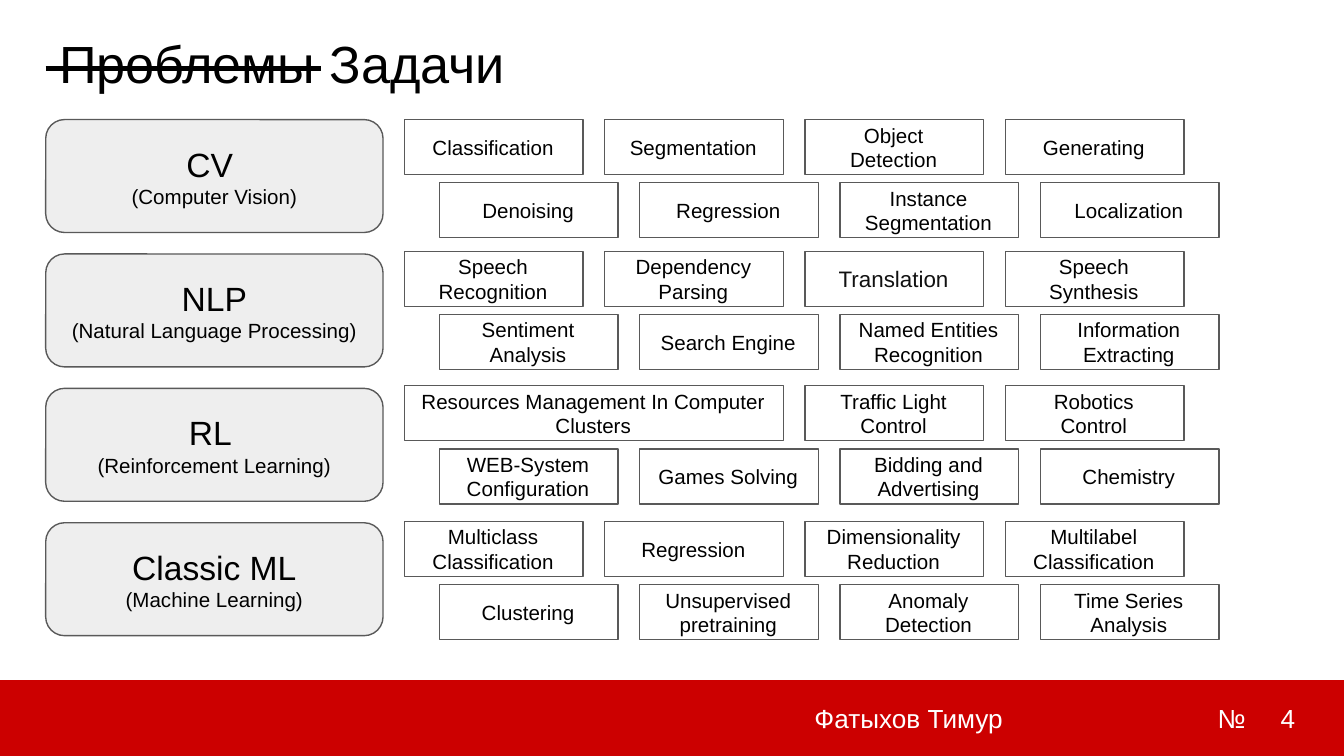
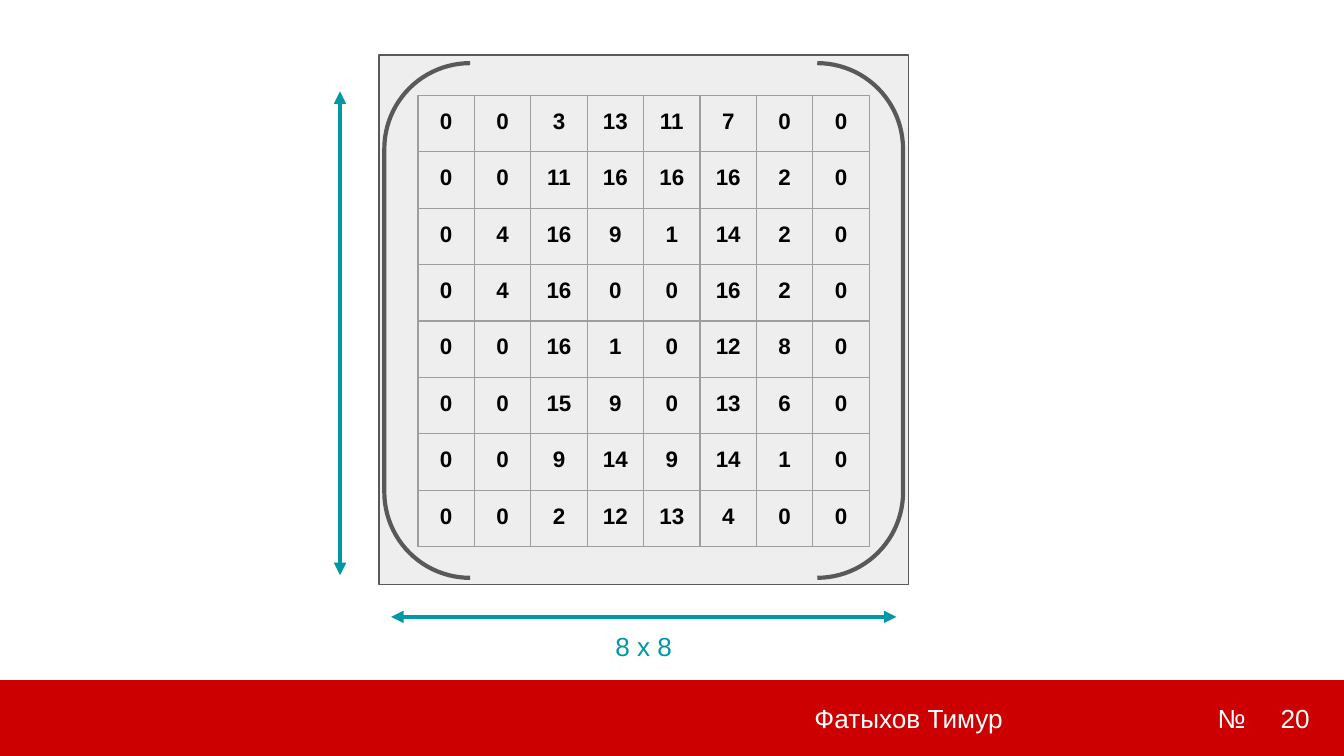
from lxml.etree import SubElement
from pptx import Presentation
from pptx.dml.color import RGBColor
from pptx.enum.shapes import MSO_CONNECTOR, MSO_SHAPE
from pptx.enum.text import MSO_ANCHOR, PP_ALIGN
from pptx.oxml.ns import qn
from pptx.util import Inches, Pt

SLIDE_WIDTH = 10
SLIDE_HEIGHT = SLIDE_WIDTH * 9 / 16
FONT = "Arial"
BLACK, WHITE, RED = "000000", "FFFFFF", "CC0000"
PANEL, OUTLINE, GRID, TEAL = "EEEEEE", "595959", "9E9E9E", "0097A7"
TITLE_ONLY, BLANK = 5, 6

# Field, its full name, top of its tasks, two rows of tasks
FIELDS = [
    ("CV ", "(Computer Vision)", 0.89,
     ["Classification", "Segmentation", "Object Detection", "Generating"],
     ["Denoising", "Regression", "Instance Segmentation", "Localization"]),
    ("NLP", "(Natural Language Processing)", 1.87,
     ["Speech Recognition", "Dependency Parsing", "Translation", "Speech Synthesis"],
     ["Sentiment Analysis", "Search Engine", "Named Entities Recognition",
      "Information Extracting"]),
    ("RL ", "(Reinforcement Learning)", 2.87,
     ["Resources Management In Computer Clusters", "Traffic Light Control",
      "Robotics Control"],
     ["WEB-System Configuration", "Games Solving", "Bidding and Advertising",
      "Chemistry"]),
    ("Classic ML", "(Machine Learning)", 3.88,
     ["Multiclass Classification", "Regression", "Dimensionality Reduction",
      "Multilabel Classification"],
     ["Clustering", "Unsupervised pretraining", "Anomaly Detection",
      "Time Series Analysis"]),
]
WIDE_TASK = "Resources Management In Computer Clusters"
LARGER_TASK = "Translation"

DIGIT_PIXELS = [
    [0, 0, 3, 13, 11, 7, 0, 0],
    [0, 0, 11, 16, 16, 16, 2, 0],
    [0, 4, 16, 9, 1, 14, 2, 0],
    [0, 4, 16, 0, 0, 16, 2, 0],
    [0, 0, 16, 1, 0, 12, 8, 0],
    [0, 0, 15, 9, 0, 13, 6, 0],
    [0, 0, 9, 14, 9, 14, 1, 0],
    [0, 0, 2, 12, 13, 4, 0, 0],
]


def rgb(value):
    return RGBColor.from_string(value)


def set_paragraph(paragraph, text, size, color=BLACK, align=PP_ALIGN.CENTER, bold=False):
    paragraph.text = text
    paragraph.alignment = align
    for run in paragraph.runs:
        run.font.name = FONT
        run.font.size = Pt(size)
        run.font.bold = bold
        run.font.color.rgb = rgb(color)


def set_tab_stops(paragraph, positions):
    tab_list = SubElement(paragraph._p.get_or_add_pPr(), qn("a:tabLst"))
    for position in positions:
        SubElement(tab_list, qn("a:tab"), pos=str(Inches(position)), algn="l")


def set_frame(text_frame, anchor=MSO_ANCHOR.MIDDLE, left=0.1, right=0.1):
    text_frame.word_wrap = True
    text_frame.vertical_anchor = anchor
    text_frame.margin_left = Inches(left)
    text_frame.margin_right = Inches(right)
    text_frame.margin_top = text_frame.margin_bottom = Inches(0.1)


def add_box(slide, kind, box, fill=None, line=OUTLINE, width=0.75):
    shape = slide.shapes.add_shape(kind, *map(Inches, box))
    shape.shadow.inherit = False
    if fill:
        shape.fill.solid()
        shape.fill.fore_color.rgb = rgb(fill)
    else:
        shape.fill.background()
    if line:
        shape.line.color.rgb = rgb(line)
        shape.line.width = Pt(width)
    else:
        shape.line.fill.background()
    set_frame(shape.text_frame)
    return shape


def add_label(slide, box, text, color, align, anchor):
    label = slide.shapes.add_textbox(*map(Inches, box))
    set_frame(label.text_frame, anchor)
    set_paragraph(label.text_frame.paragraphs[0], text, 14, color, align)


def add_line(slide, start, end, color, arrow=False):
    line = slide.shapes.add_connector(MSO_CONNECTOR.STRAIGHT, *map(Inches, start + end))
    line.line.color.rgb = rgb(color)
    line.line.width = Pt(2.25)
    if arrow:
        SubElement(line.line._get_or_add_ln(), qn("a:tailEnd"), type="triangle")
    SubElement(line._element.spPr, qn("a:effectLst"))


def add_footer(slide, number):
    top = 5.06
    height = SLIDE_HEIGHT - top
    band = add_box(slide, MSO_SHAPE.RECTANGLE, (0, top, SLIDE_WIDTH, height), RED, line=None)
    set_frame(band.text_frame, left=6.06)
    author = band.text_frame.paragraphs[0]
    set_tab_stops(author, (2, 3))
    set_paragraph(author, "Фатыхов Тимур\t\t№", 14, WHITE, PP_ALIGN.LEFT)
    add_label(slide, (9.43, top, 0.57, height), str(number), WHITE, PP_ALIGN.LEFT,
              MSO_ANCHOR.MIDDLE)


def add_title(slide, text, box):
    title = slide.shapes.title
    title.left, title.top, title.width, title.height = map(Inches, box)
    set_frame(title.text_frame, MSO_ANCHOR.TOP)
    set_paragraph(title.text_frame.paragraphs[0], text, 28, align=PP_ALIGN.LEFT)


def add_field(slide, box, name, full_name):
    shape = add_box(slide, MSO_SHAPE.ROUNDED_RECTANGLE, box, PANEL)
    set_paragraph(shape.text_frame.paragraphs[0], name, 18)
    set_paragraph(shape.text_frame.add_paragraph(), full_name, 11)


def add_task_row(slide, left, top, tasks):
    width, height, gap = 1.33, 0.41, 0.16
    for task in tasks:
        task_width = 2 * width + gap if task == WIDE_TASK else width
        shape = add_box(slide, MSO_SHAPE.RECTANGLE, (left, top, task_width, height), WHITE)
        set_frame(shape.text_frame, right=0.11)
        size, color = (12, "111111") if task == LARGER_TASK else (11, BLACK)
        set_paragraph(shape.text_frame.paragraphs[0], task, size, color)
        left += task_width + gap


def build_tasks_slide(presentation):
    slide = presentation.slides.add_slide(presentation.slide_layouts[TITLE_ONLY])
    left = 0.34
    add_footer(slide, 4)
    add_title(slide, "Проблемы Задачи", (left, 0.13, 9.32, 0.63))
    add_line(slide, (left, 0.51), (2.39, 0.51), BLACK)
    for index, (name, full_name, top, first_row, second_row) in enumerate(FIELDS):
        add_field(slide, (left, 0.89 + index, 2.51, 0.84), name, full_name)
        add_task_row(slide, 3.01, top, first_row)
        add_task_row(slide, 3.27, top + 0.47, second_row)


def set_cell_borders(cell, color):
    properties = cell._tc.get_or_add_tcPr()
    for index, side in enumerate(("a:lnL", "a:lnR", "a:lnT", "a:lnB")):
        border = properties.makeelement(qn(side), {"w": str(Pt(0.75))})
        fill = SubElement(border, qn("a:solidFill"))
        SubElement(fill, qn("a:srgbClr"), val=color)
        properties.insert(index, border)


def add_matrix(slide, left, top, values, pitch=0.42):
    rows, columns = len(values), len(values[0])
    frame = slide.shapes.add_table(rows, columns, Inches(left), Inches(top),
                                   Inches(pitch * columns), Inches(pitch * rows))
    table = frame.table
    table.first_row = table.horz_banding = False
    for row in table.rows:
        row.height = Inches(pitch)
    for column in table.columns:
        column.width = Inches(pitch)
    for row_index, row_values in enumerate(values):
        for column_index, value in enumerate(row_values):
            cell = table.cell(row_index, column_index)
            cell.margin_left = cell.margin_right = cell.margin_bottom = 0
            cell.margin_top = Inches(0.1)
            cell.fill.background()
            set_cell_borders(cell, GRID)
            set_paragraph(cell.text_frame.paragraphs[0], str(value), 12, bold=True)


def add_size_arrows(slide, center, ends):
    for end in ends:
        add_line(slide, center, end, TEAL, arrow=True)


def build_matrix_slide(presentation):
    slide = presentation.slides.add_slide(presentation.slide_layouts[BLANK])
    add_footer(slide, 20)
    add_box(slide, MSO_SHAPE.RECTANGLE, (2.82, 0.41, 3.94, 3.94), PANEL)
    add_box(slide, MSO_SHAPE.DOUBLE_BRACKET, (2.86, 0.47, 3.86, 3.83), width=2.25)
    add_size_arrows(slide, (4.73, 4.59), [(6.67, 4.59), (2.91, 4.59)])
    add_size_arrows(slide, (2.53, 2.48), [(2.53, 0.68), (2.53, 4.28)])
    add_label(slide, (3.76, 4.59, 2.06, 0.4), "8 x 8", TEAL, PP_ALIGN.CENTER,
              MSO_ANCHOR.TOP)
    add_matrix(slide, 3.11, 0.71, DIGIT_PIXELS)


def main():
    presentation = Presentation()
    presentation.slide_width = Inches(SLIDE_WIDTH)
    presentation.slide_height = Inches(SLIDE_HEIGHT)
    build_tasks_slide(presentation)
    build_matrix_slide(presentation)
    presentation.save("out.pptx")


if __name__ == "__main__":
    main()
